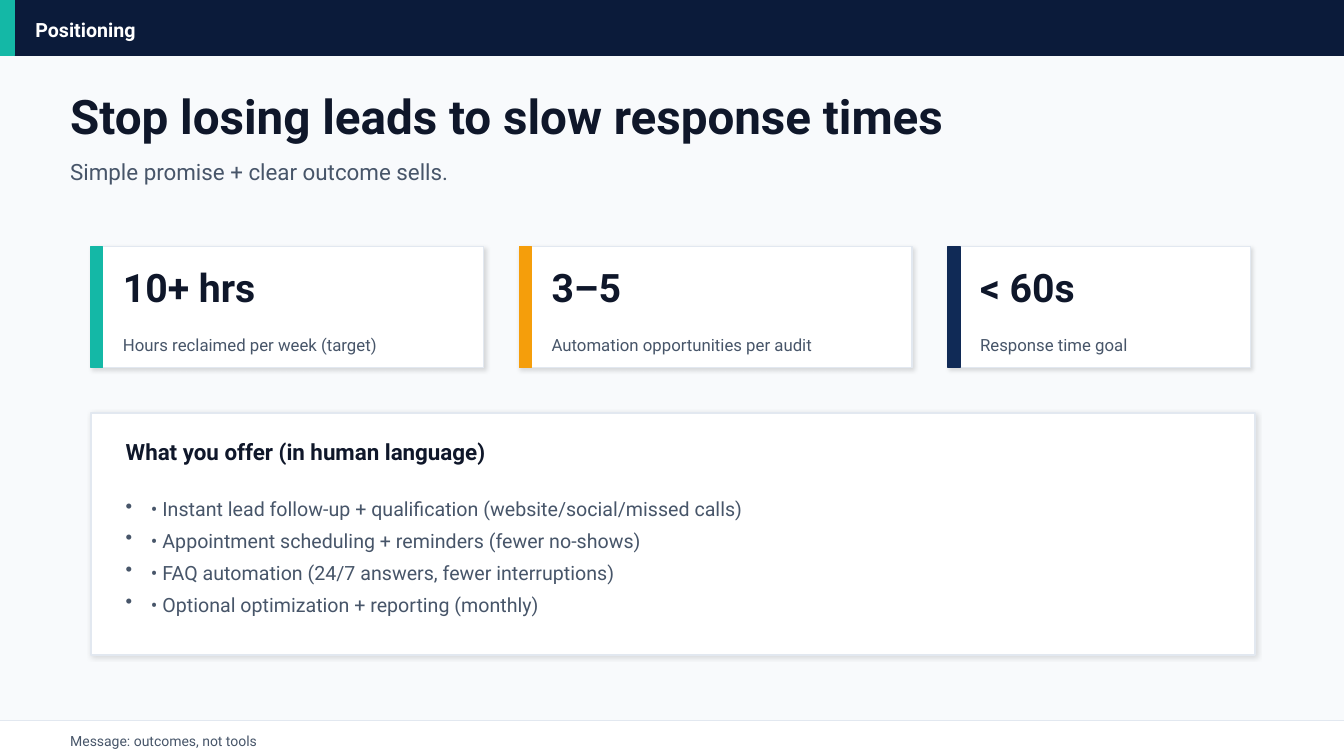
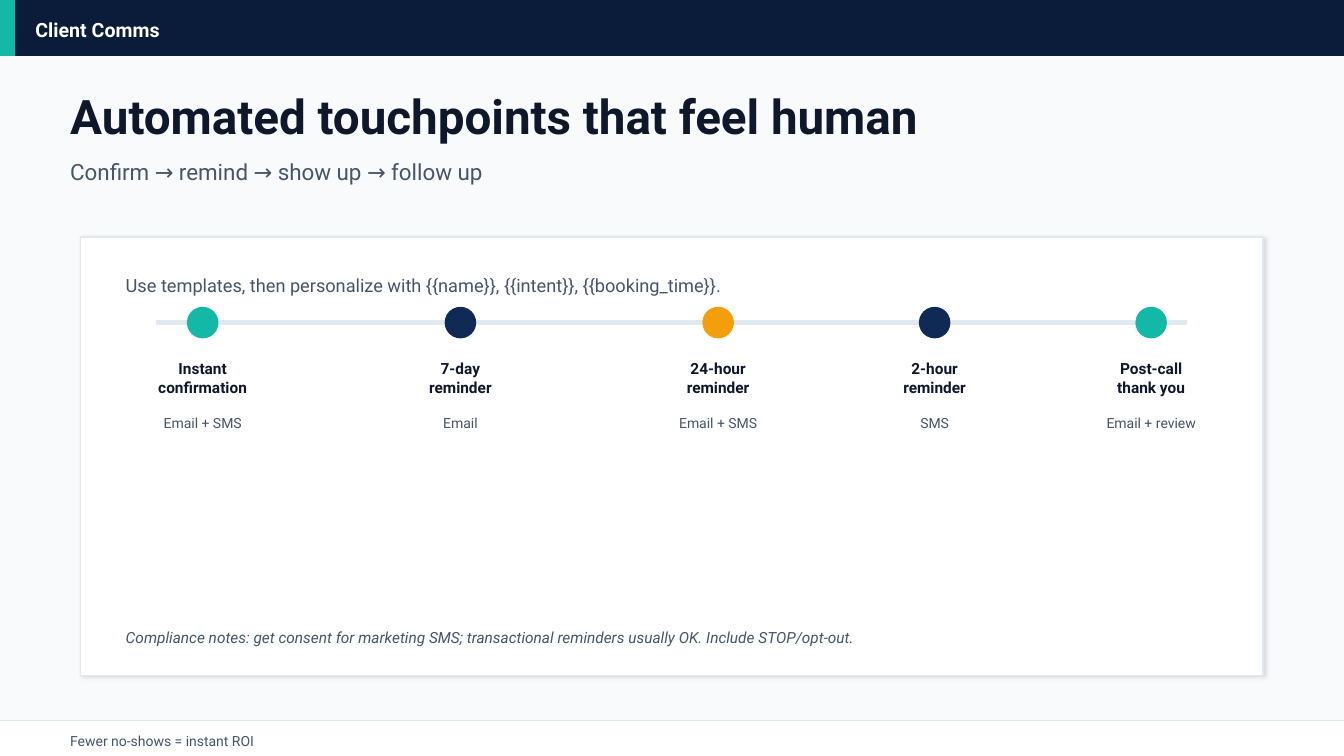
"""Build two slides on positioning and automated client communication."""
import dataclasses

import lxml.etree
import pptx
import pptx.dml.color
import pptx.enum.shapes
import pptx.enum.text
import pptx.oxml.ns
import pptx.util

Cm = pptx.util.Cm
Pt = pptx.util.Pt
qn = pptx.oxml.ns.qn
Shape = pptx.enum.shapes.MSO_SHAPE
Align = pptx.enum.text.PP_ALIGN


@dataclasses.dataclass(frozen=True)
class Theme:
    """Colours, font and type sizes."""
    font: str = "Roboto"
    background: str = "F8FAFC"
    band: str = "0B1B3A"
    navy: str = "102A56"
    teal: str = "14B8A6"
    amber: str = "F59E0B"
    ink: str = "0F172A"
    muted: str = "475569"
    border: str = "E2E8F0"
    white: str = "FFFFFF"
    title: int = 34
    metric: int = 28
    heading: int = 16
    body: int = 14
    intro: int = 13
    label: int = 12
    note: int = 11
    small: int = 10


class Deck:
    """Holds the theme, the presentation and the current slide."""
    width, height = 33.87, 19.05
    margin = 1.52

    def __init__(self, theme):
        self.theme = theme
        self.presentation = pptx.Presentation()
        self.presentation.slide_width = Cm(self.width)
        self.presentation.slide_height = Cm(self.height)
        self.slide = None

    @staticmethod
    def color(value):
        return pptx.dml.color.RGBColor.from_string(value)

    def shape(self, left, top, width, height, fill, line=None, kind=Shape.RECTANGLE):
        shape = self.slide.shapes.add_shape(kind, Cm(left), Cm(top), Cm(width), Cm(height))
        shape.fill.solid()
        shape.fill.fore_color.rgb = self.color(fill)
        shape.line.color.rgb = self.color(line or fill)
        shape.line.width = Pt(1)
        shape.shadow.inherit = False
        return shape

    def panel(self, left, top, width, height):
        shape = self.shape(left, top, width, height, self.theme.white, self.theme.border)
        effects = shape._element.spPr.find(qn("a:effectLst"))
        shadow = lxml.etree.SubElement(effects, qn("a:outerShdw"), blurRad=str(Pt(3)),
                                       dist=str(Pt(1.5)), dir="2700000", algn="bl", rotWithShape="0")
        shade = lxml.etree.SubElement(shadow, qn("a:srgbClr"), val="000000")
        lxml.etree.SubElement(shade, qn("a:alpha"), val="12000")

    def line(self, left, right, y, weight):
        connector = self.slide.shapes.add_connector(
            pptx.enum.shapes.MSO_CONNECTOR.STRAIGHT, Cm(left), Cm(y), Cm(right), Cm(y))
        connector.line.color.rgb = self.color(self.theme.border)
        connector.line.width = Pt(weight)
        lxml.etree.SubElement(connector._element.spPr, qn("a:effectLst"))

    def text(self, left, top, width, height, text, size, color=None,
             bold=False, italic=False, align=Align.LEFT):
        box = self.slide.shapes.add_textbox(Cm(left), Cm(top), Cm(width), Cm(height))
        frame = box.text_frame
        frame.word_wrap = True
        frame.vertical_anchor = pptx.enum.text.MSO_ANCHOR.MIDDLE
        frame.text = text
        for paragraph in frame.paragraphs:
            paragraph.alignment = align
            for run in paragraph.runs:
                run.font.name = self.theme.font
                run.font.size = Pt(size)
                run.font.bold = bold
                run.font.italic = italic
                run.font.color.rgb = self.color(color or self.theme.muted)
        return frame

    def bullets(self, left, top, width, height, items):
        frame = self.text(left, top, width, height, "\n".join(items), self.theme.body)
        for paragraph in frame.paragraphs:
            paragraph.space_after = Pt(6)
            properties = paragraph._p.get_or_add_pPr()
            properties.set("marL", str(Pt(18)))
            properties.set("indent", str(-Pt(18)))
            lxml.etree.SubElement(properties, qn("a:buChar"), char="•")

    def new_slide(self, section, title, subtitle, footer):
        theme = self.theme
        self.slide = self.presentation.slides.add_slide(self.presentation.slide_layouts[6])
        self.slide.background.fill.solid()
        self.slide.background.fill.fore_color.rgb = self.color(theme.background)
        text_width = self.width - 2 * self.margin
        self.shape(0, 0, self.width, 1.4, theme.band)
        self.shape(0, 0, 0.36, 1.4, theme.teal)
        self.text(0.64, 0.3, 32.59, 0.89, section, theme.body, theme.white, bold=True)
        self.text(self.margin, 2.16, text_width, 1.52, title, theme.title, theme.ink, bold=True)
        self.text(self.margin, 3.68, text_width, 1.27, subtitle, theme.heading)
        self.shape(0, 18.16, self.width, 0.89, theme.white)
        self.line(0, self.width, 18.16, 1)
        self.text(self.margin, 18.34, text_width, 0.64, footer, theme.small)

    def metric_card(self, left, top, width, accent, value, label):
        theme = self.theme
        height = 3.05
        self.panel(left, top, width, height)
        self.shape(left, top, 0.3, height, accent)
        text_left, text_width = left + 0.56, width - 0.89
        self.text(text_left, top + 0.3, text_width, 1.4, value, theme.metric, theme.ink, bold=True)
        self.text(text_left, top + 2.03, text_width, 0.89, label, theme.label)

    def milestone(self, center, y, accent, name, channel):
        theme = self.theme
        diameter, width = 0.76, 4.06
        self.shape(center - diameter / 2, y - diameter / 2, diameter, diameter, accent,
                   kind=Shape.OVAL)
        left = center - width / 2
        self.text(left, y + 0.63, width, 1.52, name, theme.note, theme.ink, bold=True,
                  align=Align.CENTER)
        self.text(left, y + 2.16, width, 0.76, channel, theme.small, align=Align.CENTER)


def add_positioning(deck):
    theme = deck.theme
    deck.new_slide("Positioning", "Stop losing leads to slow response times",
                   "Simple promise + clear outcome sells.", "Message: outcomes, not tools")
    left = 2.29
    for width, accent, value, label in (
        (9.9, theme.teal, "10+ hrs", "Hours reclaimed per week (target)"),
        (9.9, theme.amber, "3–5", "Automation opportunities per audit"),
        (7.62, theme.navy, "< 60s", "Response time goal"),
    ):
        deck.metric_card(left, 6.22, width, accent, value, label)
        left += width + 0.9
    deck.panel(2.29, 10.41, 29.34, 6.1)
    deck.text(2.92, 10.87, 27.94, 1.02, "What you offer (in human language)",
              theme.heading, theme.ink, bold=True)
    deck.bullets(2.92, 11.99, 27.94, 4.06, (
        "• Instant lead follow-up + qualification (website/social/missed calls)",
        "• Appointment scheduling + reminders (fewer no-shows)",
        "• FAQ automation (24/7 answers, fewer interruptions)",
        "• Optional optimization + reporting (monthly)",
    ))


def add_client_comms(deck):
    theme = deck.theme
    deck.new_slide("Client Comms", "Automated touchpoints that feel human",
                   "Confirm → remind → show up → follow up", "Fewer no-shows = instant ROI")
    deck.panel(2.03, 5.97, 29.8, 11.05)
    start, end, y = 3.94, 29.92, 8.13
    deck.line(start, end, y, 4)
    for fraction, accent, name, channel in (
        (0.045, theme.teal, "Instant\nconfirmation", "Email + SMS"),
        (0.295, theme.navy, "7-day\nreminder", "Email"),
        (0.545, theme.amber, "24-hour\nreminder", "Email + SMS"),
        (0.755, theme.navy, "2-hour\nreminder", "SMS"),
        (0.965, theme.teal, "Post-call\nthank you", "Email + review"),
    ):
        deck.milestone(start + fraction * (end - start), y, accent, name, channel)
    deck.text(2.92, 6.73, 28.02, 0.89,
              "Use templates, then personalize with {{name}}, {{intent}}, {{booking_time}}.",
              theme.intro)
    deck.text(2.92, 15.62, 28.02, 0.89,
              "Compliance notes: get consent for marketing SMS; transactional reminders "
              "usually OK. Include STOP/opt-out.", theme.note, italic=True)


def main():
    deck = Deck(Theme())
    add_positioning(deck)
    add_client_comms(deck)
    deck.presentation.save("out.pptx")


if __name__ == "__main__":
    main()
